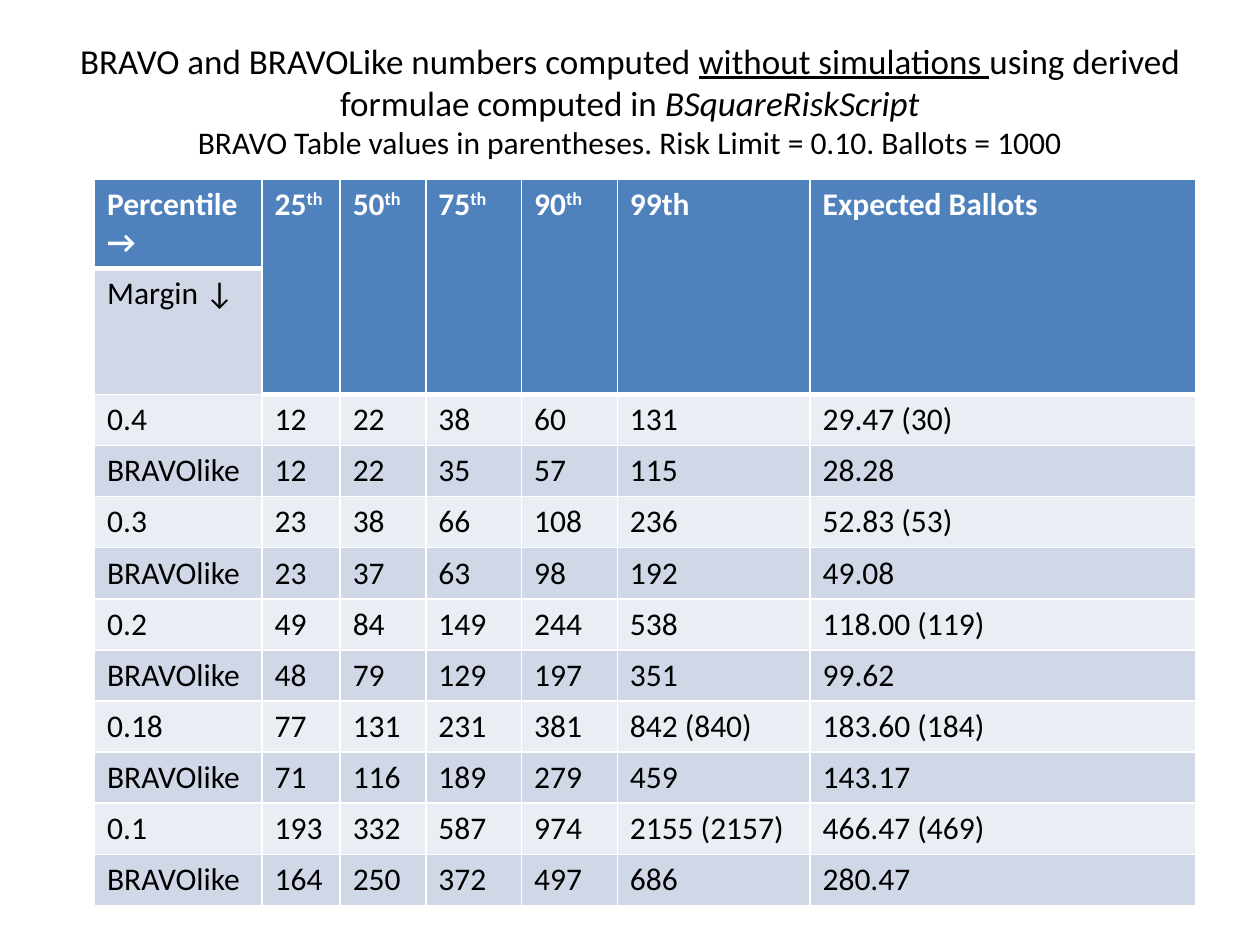
import dataclasses
import pptx
import pptx.dml.color
import pptx.enum.text
import pptx.oxml
import pptx.oxml.ns
import pptx.util

Inch = pptx.util.Inches
FONT, SIZE = "Calibri", 18
WHITE, BLACK, BLUE = "FFFFFF", "000000", "4F81BD"
BANDS = ("E9EDF4", "D0D8E8")
COLS = (1.33, 0.62, 0.68, 0.76, 0.76, 1.53, 3.06)
HEADS = (0.7, 1)
STEP = 0.4


@dataclasses.dataclass
class Margin:
    label: str
    exact: tuple
    like: tuple


MARGINS = (
    Margin("0.4", (12, 22, 38, 60, 131, "29.47 (30)"), (12, 22, 35, 57, 115, "28.28")),
    Margin("0.3", (23, 38, 66, 108, 236, "52.83 (53)"), (23, 37, 63, 98, 192, "49.08")),
    Margin("0.2", (49, 84, 149, 244, 538, "118.00 (119) "), (48, 79, 129, 197, 351, "99.62")),
    Margin("0.18", (77, 131, 231, 381, "842 (840)", "183.60 (184)"),
           (71, 116, 189, 279, 459, "143.17")),
    Margin("0.1", (193, 332, 587, 974, "2155 (2157)", "466.47 (469)"),
           (164, 250, 372, 497, 686, "280.47")),
)


def paint(target, color: str) -> None:
    rgb = pptx.dml.color.RGBColor.from_string(color)
    if hasattr(target, "solid"):
        target.solid()
        target.fore_color.rgb = rgb
    else:
        target.rgb = rgb


def write(para, text: str, size: float = SIZE, color: str = BLACK, bold: bool = False,
          italic: bool = False, under: bool = False, raised: bool = False) -> None:
    run = para.add_run()
    run.text = text
    font = run.font
    font.name, font.size = FONT, pptx.util.Pt(size)
    font.bold, font.italic, font.underline = bold, italic, under
    paint(font.color, color)
    if raised:
        run.font._element.set("baseline", "30000")


def style(cell, color: str, base: float = 1) -> None:
    """Set white borders, with their own width at the base, and the fill."""
    props = cell._tc.get_or_add_tcPr()
    for side, width in (("L", 1), ("R", 1), ("T", 1), ("B", base)):
        props.append(pptx.oxml.parse_xml(
            f'<a:ln{side} {pptx.oxml.ns.nsdecls("a")} w="{pptx.util.Pt(width)}">'
            f'<a:solidFill><a:srgbClr val="{WHITE}"/></a:solidFill></a:ln{side}>'))
    paint(cell.fill, color)


deck = pptx.Presentation()
deck.slide_width, deck.slide_height = Inch(10), Inch(7.5)
slide = deck.slides.add_slide(deck.slide_layouts[5])

# Title
title = slide.shapes.title
title.left, title.top, title.width, title.height = map(Inch, (0.5, 0.17, 9, 1.25))
frame = title.text_frame
frame.vertical_anchor = pptx.enum.text.MSO_ANCHOR.MIDDLE
para = frame.paragraphs[0]
para.alignment = pptx.enum.text.PP_ALIGN.CENTER
write(para, "BRAVO and BRAVOLike numbers computed ", size=20)
write(para, "without simulations ", size=20, under=True)
write(para, "using derived formulae computed in ", size=20)
write(para, "BSquareRiskScript", size=20, italic=True)
para.add_line_break()
write(para, "BRAVO Table values in parentheses. Risk Limit = 0.10. Ballots = 1000")

# Table grid
rows = [row for m in MARGINS for row in ((m.label, *m.exact), ("BRAVOlike", *m.like))]
tall = (*HEADS, *[STEP] * len(rows))
table = slide.shapes.add_table(len(tall), len(COLS), Inch(0.75), Inch(1.42),
                               Inch(sum(COLS)), Inch(sum(tall))).table
for col, width in zip(table.columns, COLS):
    col.width = Inch(width)
for row, height in zip(table.rows, tall):
    row.height = Inch(height)

# Column heads
heads = (("25", "th"), ("50", "th"), ("75", "th"), ("90", "th"),
         ("99th", ""), ("Expected Ballots", ""))
for c, (text, suffix) in enumerate(heads, 1):
    top, low = table.cell(0, c), table.cell(1, c)
    for cell in (top, low):
        style(cell, BLUE, base=3)
    top.merge(low)
    para = top.text_frame.paragraphs[0]
    write(para, text, color=WHITE, bold=True)
    if suffix:
        write(para, suffix, color=WHITE, bold=True, raised=True)

# Corner cells
top, low = table.cell(0, 0), table.cell(1, 0)
style(top, BLUE, base=3)
style(low, BANDS[1])
write(top.text_frame.paragraphs[0], "Percentile", color=WHITE, bold=True)
write(top.text_frame.add_paragraph(), "→", color=WHITE, bold=True)
write(low.text_frame.paragraphs[0], "Margin ↓")

# Values
for r, row in enumerate(rows):
    for c, value in enumerate(row):
        cell = table.cell(r + len(HEADS), c)
        style(cell, BANDS[r % 2])
        write(cell.text_frame.paragraphs[0], str(value))

deck.save("out.pptx")
